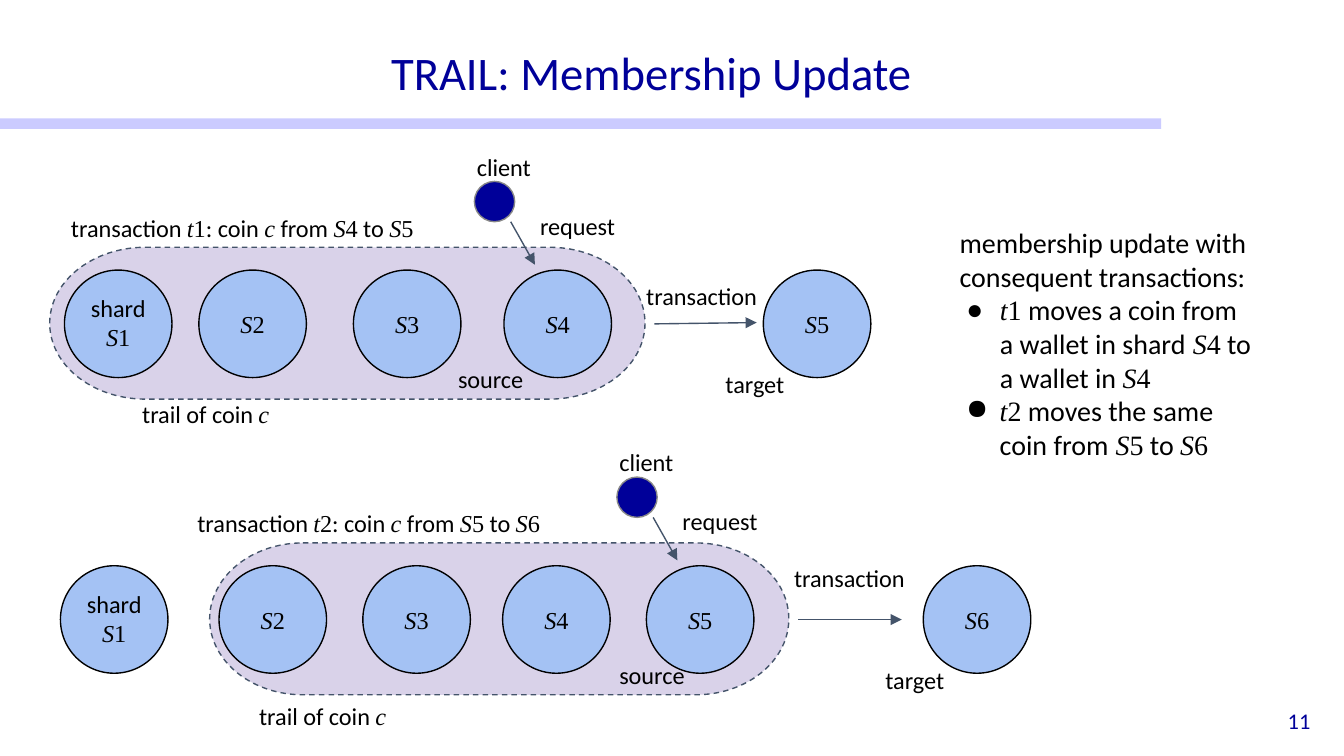
from dataclasses import dataclass
from itertools import groupby

from lxml import etree
from pptx import Presentation
from pptx.dml.color import RGBColor
from pptx.enum.dml import MSO_LINE
from pptx.enum.shapes import MSO_CONNECTOR, MSO_SHAPE
from pptx.enum.text import MSO_ANCHOR, MSO_AUTO_SIZE, PP_ALIGN
from pptx.oxml.ns import qn
from pptx.util import Inches, Pt

RECT, OVAL, PILL = MSO_SHAPE.RECTANGLE, MSO_SHAPE.OVAL, MSO_SHAPE.FLOWCHART_TERMINATOR
STRAIGHT, DASH = MSO_CONNECTOR.STRAIGHT, MSO_LINE.DASH
TOP, MIDDLE, BOTTOM = MSO_ANCHOR.TOP, MSO_ANCHOR.MIDDLE, MSO_ANCHOR.BOTTOM
LEFT, CENTER, RIGHT = PP_ALIGN.LEFT, PP_ALIGN.CENTER, PP_ALIGN.RIGHT
GROW, FIXED = MSO_AUTO_SIZE.SHAPE_TO_FIT_TEXT, MSO_AUTO_SIZE.NONE
TIGHT = (0.07, 0.04, 0.07, 0.04)
ROOMY = (0.1, 0.1, 0.1, 0.1)
LIST_INSETS = (0.1, 0.1, 0.13, 0.1)
CIRCLE = 0.8
DOT = 0.3
LABEL_HEIGHT = 0.42


@dataclass(frozen=True)
class Theme:
    font: str = "Calibri"
    math_font: str = "Times New Roman"
    navy: str = "000099"
    bar: str = "9999FF"
    black: str = "000000"
    gray: str = "888888"
    slate: str = "44546A"
    shard: str = "A4C2F4"
    trail: str = "D9D2E9"
    title_size: int = 25
    list_size: int = 15
    label_size: int = 13
    number_size: int = 12
    line_width: float = 0.75


@dataclass(frozen=True)
class Step:
    top: float
    pill: tuple
    first: float
    trail: dict
    source: float
    target: tuple
    heading: tuple
    trail_label: tuple
    source_label: float
    transfer_label: tuple
    arrow: tuple


def set_text(tf, text, theme, size, color=None, align=LEFT, anchor=TOP,
             insets=ROOMY, fit=FIXED, spacing=1.0):
    tf.word_wrap = True
    tf.auto_size = fit
    tf.vertical_anchor = anchor
    tf.margin_left, tf.margin_top, tf.margin_right, tf.margin_bottom = map(Inches, insets)
    for i, line in enumerate(text.split("\n")):
        p = tf.paragraphs[0] if i == 0 else tf.add_paragraph()
        p.alignment = align
        p.line_spacing = spacing
        p.space_before = Pt(0)
        set_bullet(p, line.startswith("●"), theme)
        for j, part in enumerate(line.lstrip("●").split("$")):
            is_math = j % 2 == 1
            pieces = groupby(part, str.isdigit) if is_math else [(True, part)]
            for upright, chars in pieces:
                content = "".join(chars)
                if not content:
                    continue
                r = p.add_run()
                r.text = content
                r.font.name = theme.math_font if is_math else theme.font
                r.font.size = Pt(size)
                r.font.italic = not upright
                r.font.color.rgb = RGBColor.from_string(color or theme.black)
        etree.SubElement(p._p, qn("a:endParaRPr"), sz=str(size * 100))


def set_bullet(p, bulleted, theme):
    pPr = p._p.get_or_add_pPr()
    pPr.set("marL", str(Inches(0.3 if bulleted else 0)))
    pPr.set("indent", str(Inches(-0.25 if bulleted else 0)))
    if bulleted:
        color = etree.SubElement(pPr, qn("a:buClr"))
        etree.SubElement(color, qn("a:srgbClr"), val=theme.black)
        etree.SubElement(pPr, qn("a:buChar"), char="●")
    else:
        etree.SubElement(pPr, qn("a:buNone"))


class SlideBuilder:
    def __init__(self, slide, theme):
        self.s = slide
        self.theme = theme

    def placeholder(self, sp, text, box, **fmt):
        sp.left, sp.top, sp.width, sp.height = map(Inches, box)
        set_text(sp.text_frame, text, self.theme, **fmt)

    def text(self, text, box, **fmt):
        sp = self.s.shapes.add_textbox(*map(Inches, box))
        set_text(sp.text_frame, text, self.theme, **fmt)

    def label(self, text, x, y, width=0.8):
        self.text(text, (x, y, width, LABEL_HEIGHT), size=self.theme.label_size, fit=GROW)

    def shape(self, kind, box, fill, line=None, dash=None, alpha=None):
        sp = self.s.shapes.add_shape(kind, *map(Inches, box))
        sp.shadow.inherit = False
        sp.fill.solid()
        sp.fill.fore_color.rgb = RGBColor.from_string(fill)
        if alpha:
            color = sp._element.spPr.find(qn("a:solidFill")).find(qn("a:srgbClr"))
            etree.SubElement(color, qn("a:alpha"), val=str(alpha * 1000))
        if line:
            sp.line.color.rgb = RGBColor.from_string(line)
            sp.line.width = Pt(self.theme.line_width)
            if dash:
                sp.line.dash_style = dash
        else:
            sp.line.fill.background()
        return sp

    def shard(self, name, x, y):
        sp = self.shape(OVAL, (x, y, CIRCLE, CIRCLE), self.theme.shard, self.theme.black)
        if name:
            set_text(sp.text_frame, f"${name}$", self.theme, self.theme.label_size,
                     align=CENTER, anchor=MIDDLE)

    def arrow(self, x1, y1, x2, y2):
        c = self.s.shapes.add_connector(STRAIGHT, *map(Inches, (x1, y1, x2, y2)))
        c.line.color.rgb = RGBColor.from_string(self.theme.slate)
        c.line.width = Pt(self.theme.line_width)
        etree.SubElement(c.line._get_or_add_ln(), qn("a:tailEnd"), type="triangle")
        etree.SubElement(c._element.spPr, qn("a:effectLst"))

    def step(self, d):
        t, y, x = self.theme, d.top, d.source
        left, width = d.pill
        self.shape(PILL, (left, y - 0.17, width, 1.13), t.trail, t.slate, DASH)
        self.shard("", d.first, y)
        self.text("shard\n$S1$", (d.first, y + 0.07, CIRCLE, 0.64),
                  size=t.label_size, align=CENTER, anchor=MIDDLE)
        for name, shard_x in d.trail.items():
            self.shard(name, shard_x, y)
        target_name, target_x = d.target
        self.shard(target_name, target_x, y)
        self.label(*d.heading)
        self.label("trail of coin $c$", *d.trail_label, 1.24)
        self.label("source", d.source_label, y + 0.6)
        self.label("target", target_x - 0.38, y + 0.64)
        self.label("client", x - 0.3, y - 0.98)
        self.label("request", x + 0.17, y - 0.54)
        self.label("transaction", *d.transfer_label)
        self.shape(OVAL, (x - 0.22, y - 0.66, DOT, DOT), t.navy, t.gray)
        self.arrow(x + 0.05, y - 0.36, x + 0.23, y - 0.04)
        self.arrow(*d.arrow)


STEPS = [
    Step(top=2.01, pill=(0.37, 4.43), first=0.48,
         trail={"S2": 1.48, "S3": 2.63, "S4": 3.75}, source=3.75, target=("S5", 5.68),
         heading=("transaction $t1$: coin $c$ from $S4$ to $S5$", 0.43, 1.49, 2.9),
         trail_label=(0.96, 2.87), source_label=3.31,
         transfer_label=(4.71, 1.99, 1.21), arrow=(4.87, 2.41, 5.63, 2.4)),
    Step(top=4.21, pill=(1.56, 4.31), first=0.45,
         trail={"S2": 1.63, "S3": 2.7, "S4": 3.74, "S5": 4.81}, source=4.81, target=("S6", 6.87),
         heading=("transaction $t2$: coin $c$ from $S5$ to $S6$", 1.37, 3.68, 2.78),
         trail_label=(1.83, 5.12), source_label=4.51,
         transfer_label=(5.81, 4.09, 1.1), arrow=(5.94, 4.61, 6.71, 4.61)),
]


def main():
    prs = Presentation()
    prs.slide_width = Inches(10)
    prs.slide_height = prs.slide_width * 9 // 16
    theme = Theme()
    s = prs.slides.add_slide(prs.slide_layouts[1])
    b = SlideBuilder(s, theme)
    b.shape(RECT, (0, 0.88, 8.64, 0.08), theme.bar, alpha=50)
    b.placeholder(s.shapes.title, "TRAIL: Membership Update", (1.76, 0.05, 6.17, 0.74),
                  size=theme.title_size, color=theme.navy, align=CENTER, anchor=BOTTOM,
                  insets=TIGHT, spacing=0.9)
    b.text("11", (7.57, 5.21, 2.25, 0.3), size=theme.number_size, color=theme.navy,
           align=RIGHT, anchor=MIDDLE, insets=TIGHT)
    for step in STEPS:
        b.step(step)
    b.placeholder(s.placeholders[1],
                  "membership update with consequent transactions:\n"
                  "●$t1$ moves a coin from a wallet in shard$ S4$ to a wallet in $S4$",
                  (7.04, 1.58, 2.42, 1.46), size=theme.list_size, insets=LIST_INSETS, fit=GROW)
    b.text("●$t2$ moves the same coin from$ S5$ to $S6$", (7.04, 2.83, 2.42, 0.71),
           size=theme.list_size, insets=LIST_INSETS, fit=GROW)
    prs.save("out.pptx")


if __name__ == "__main__":
    main()
